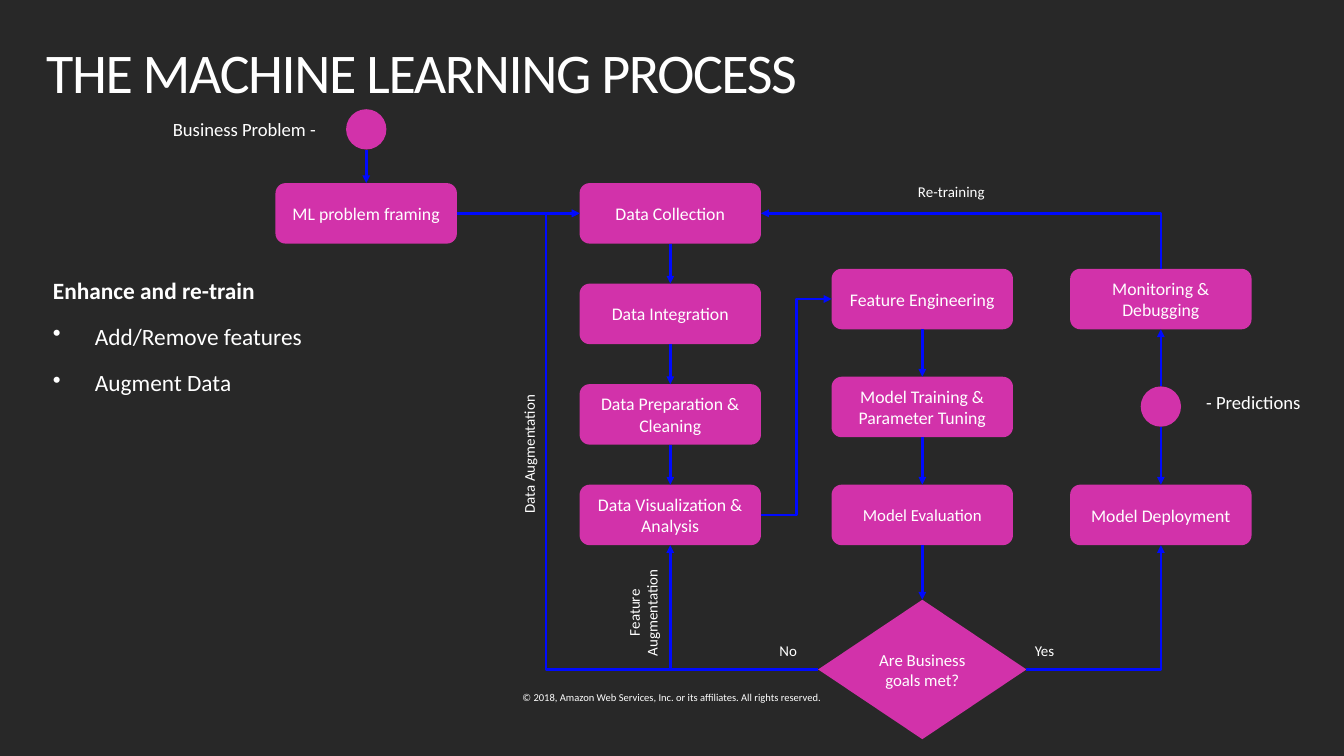
"""Build the machine learning process flowchart slide."""
from dataclasses import dataclass
from typing import Any, NamedTuple

from lxml import etree
from pptx import Presentation
from pptx import util as u
from pptx.dml.color import RGBColor
from pptx.enum import shapes, text
from pptx.oxml.ns import qn


@dataclass(frozen=True)
class Theme:
    """Colours, font and type sizes of the slide."""
    back: RGBColor = RGBColor(0x28, 0x28, 0x28)
    node: RGBColor = RGBColor(0xD2, 0x32, 0xAA)
    arrow: RGBColor = RGBColor(0x00, 0x0A, 0xFF)
    ink: RGBColor = RGBColor(0xFF, 0xFF, 0xFF)
    font: str = "Calibri"
    title: float = 48
    body: float = 20
    caption: float = 16
    step: float = 15.2
    small_step: float = 14.4
    label: float = 12.8
    footer: float = 9
    arrow_width: float = 2.25


class Node(NamedTuple):
    """A flowchart node given by its centre line, top and size."""
    key: str
    text: str
    cx: float
    top: float
    width: float = 2.16
    height: float = 0.72
    kind: Any = shapes.MSO_SHAPE.ROUNDED_RECTANGLE
    size: float = Theme.step


class Link(NamedTuple):
    """An arrow between the sides of two nodes."""
    begin: str
    begin_side: int
    end: str
    end_side: int
    preset: str = "line"
    bend: int = 0
    vertical_first: bool = False


class Label(NamedTuple):
    """A free text label."""
    text: str
    left: float
    top: float
    width: float
    height: float
    size: float = Theme.label
    align: Any = text.PP_ALIGN.LEFT
    rotation: float = 0
    wrap: bool = False
    inset: tuple[float, float] = (0.1, 0.05)


T = Theme()
TOP, LEFT, BOTTOM, RIGHT = range(4)
CENTER = text.PP_ALIGN.CENTER
CIRCLE = shapes.MSO_SHAPE.OVAL
FRAMING_X, DATA_X, MODEL_X, DEPLOY_X = 4.36, 7.98, 10.98, 13.82
FIRST_ROW, MODEL_ROW, LAST_ROW = 2.18, 3.2, 5.77


def stack(cx: float, top: float, steps: list[tuple[str, str, float]]) -> list[Node]:
    """Space steps evenly from the given top down to the last row."""
    pitch = (LAST_ROW - top) / (len(steps) - 1)
    return [Node(key, words, cx, top + i * pitch, size=size)
            for i, (key, words, size) in enumerate(steps)]


NODES = [
    Node("problem", "", FRAMING_X, 1.3, 0.48, 0.48, CIRCLE),
    Node("framing", "ML problem framing", FRAMING_X, FIRST_ROW),
    *stack(DATA_X, FIRST_ROW, [
        ("collect", "Data Collection", T.step),
        ("integrate", "Data Integration", T.step),
        ("prepare", "Data Preparation & Cleaning", T.step),
        ("visualize", "Data Visualization & Analysis", T.step)]),
    *stack(MODEL_X, MODEL_ROW, [
        ("features", "Feature Engineering", T.step),
        ("train", "Model Training &\nParameter Tuning", T.step),
        ("evaluate", "Model Evaluation", T.small_step)]),
    *stack(DEPLOY_X, MODEL_ROW, [
        ("monitor", "Monitoring &\nDebugging", T.step),
        ("deploy", "Model Deployment", T.step)]),
    Node("goals", "Are Business goals met?", MODEL_X, 7.14, 2.48, 1.66,
         shapes.MSO_SHAPE.DIAMOND, T.small_step),
    Node("predict", "", DEPLOY_X, 4.6, 0.48, 0.48, CIRCLE),
]

CHAINS = [("problem", "framing"),
          ("collect", "integrate", "prepare", "visualize"),
          ("features", "train", "evaluate", "goals"),
          ("predict", "deploy")]

LINKS = [Link(a, BOTTOM, b, TOP) for chain in CHAINS for a, b in zip(chain, chain[1:])] + [
    Link("framing", RIGHT, "collect", LEFT),
    Link("predict", TOP, "monitor", BOTTOM),
    Link("visualize", RIGHT, "features", LEFT, "bentConnector3", 50000),
    Link("goals", RIGHT, "deploy", BOTTOM, "bentConnector2"),
    Link("goals", LEFT, "visualize", BOTTOM, "bentConnector2"),
    Link("goals", LEFT, "collect", LEFT, "bentConnector3", 114100),
    Link("monitor", TOP, "collect", RIGHT, "bentConnector2", vertical_first=True),
]

LABELS = [
    Label("© 2018, Amazon Web Services, Inc. or its affiliates. All rights reserved.",
          5.83, 8.23, 4.33, 0.15, T.footer, CENTER, wrap=True, inset=(0, 0)),
    Label("Business Problem -", 1.96, 1.36, 2.14, 0.37, T.caption),
    Label("- Predictions", 14.1, 4.6, 1.48, 0.37, T.caption, text.PP_ALIGN.RIGHT),
    Label("Yes", 12.22, 7.59, 0.48, 0.32),
    Label("No", 9.18, 7.59, 0.43, 0.32),
    Label("Re-training", 10.83, 2.13, 1.11, 0.32),
    Label("Data Augmentation", 5.4, 5.15, 1.8, 0.32, rotation=270),
    Label("Feature\nAugmentation", 6.97, 7.03, 1.37, 0.53, align=CENTER, rotation=270),
]
TITLE = Label("THE MACHINE LEARNING PROCESS", 0.35, 0.38, 15.3, 1.18, T.title,
              wrap=True, inset=(0.2, 0.16))
ADVICE = Label("Enhance and re-train\nAdd/Remove features\nAugment Data",
               0.43, 3.16, 5.47, 4.75, T.body, wrap=True, inset=(0.2, 0.16))


def apply(target: Any, values: dict[str, Any]) -> None:
    """Set each named attribute on the target."""
    for name, value in values.items():
        setattr(target, name, value)


def write(tf: Any, words: str, size: float, align: Any) -> None:
    """Fill a text frame with one paragraph per line."""
    tf.text = words
    for p in tf.paragraphs:
        p.alignment = align
        for r in p.runs:
            apply(r.font, {"name": T.font, "size": u.Pt(size)})
            r.font.color.rgb = T.ink


def draw_label(s: Any, label: Label) -> Any:
    """Draw a label and return its text frame."""
    sp = s.shapes.add_textbox(*map(u.Inches, label[1:5]))
    sp.rotation = label.rotation
    tf, (x, y) = sp.text_frame, map(u.Inches, label.inset)
    apply(tf, {"word_wrap": label.wrap, "margin_left": x, "margin_right": x,
               "margin_top": y, "margin_bottom": y})
    write(tf, label.text, label.size, label.align)
    return tf


def draw_node(s: Any, node: Node) -> Any:
    """Draw a flowchart node."""
    sp = s.shapes.add_shape(node.kind, *map(u.Inches, (
        node.cx - node.width / 2, node.top, node.width, node.height)))
    sp.shadow.inherit = False
    sp.fill.solid()
    sp.fill.fore_color.rgb = T.node
    sp.line.fill.background()
    if node.text:
        tf = sp.text_frame
        apply(tf, {"word_wrap": True, "vertical_anchor": text.MSO_ANCHOR.MIDDLE})
        write(tf, node.text, node.size, CENTER)
    return sp


def side_point(sp: Any, side: int) -> tuple[int, int]:
    """Return the middle of one side of a shape."""
    fx, fy = ((0.5, 0), (0, 0.5), (0.5, 1), (1, 0.5))[side]
    return int(sp.left + fx * sp.width), int(sp.top + fy * sp.height)


def draw_link(s: Any, link: Link, drawn: dict[str, Any]) -> None:
    """Draw an arrow between two nodes."""
    a, b = drawn[link.begin], drawn[link.end]
    (x1, y1), (x2, y2) = side_point(a, link.begin_side), side_point(b, link.end_side)
    if link.vertical_first:
        cx, cy, dx, dy = (x1 + x2) // 2, (y1 + y2) // 2, abs(x2 - x1) // 2, abs(y2 - y1) // 2
        x1, y1, x2, y2 = cx - dy, cy + dx, cx + dy, cy - dx
    kind = shapes.MSO_CONNECTOR
    c = s.shapes.add_connector(kind.STRAIGHT if link.preset == "line" else kind.ELBOW,
                               x1, y1, x2, y2)
    props = c._element.spPr
    geometry = props.find(qn("a:prstGeom"))
    geometry.set("prst", link.preset)
    if link.bend:
        etree.SubElement(geometry.find(qn("a:avLst")), qn("a:gd"),
                         name="adj1", fmla=f"val {link.bend}")
    if link.vertical_first:
        props.find(qn("a:xfrm")).set("rot", str(270 * 60000))
    else:
        if a.auto_shape_type != CIRCLE:
            c.begin_connect(a, link.begin_side)
        c.end_connect(b, link.end_side)
    c.line.color.rgb = T.arrow
    c.line.width = u.Pt(T.arrow_width)
    etree.SubElement(props.find(qn("a:ln")), qn("a:tailEnd"), type="triangle")
    etree.SubElement(props, qn("a:effectLst"))


def draw_text_blocks(s: Any) -> None:
    """Draw the title and the bulleted advice."""
    p = draw_label(s, TITLE).paragraphs[0]
    p.line_spacing = 0.9
    p.runs[0].font._element.set("spc", "-120")
    heading, *points = draw_label(s, ADVICE).paragraphs
    for p in points:
        pr = p._p.get_or_add_pPr()
        apply_indent = {"marL": u.Inches(0.5), "indent": -u.Inches(0.5)}
        for name, value in apply_indent.items():
            pr.set(name, str(int(value)))
        etree.SubElement(pr, qn("a:buChar"), char="•")
    for p in (heading, *points):
        apply(p, {"line_spacing": 0.9, "space_after": u.Pt(18)})
    heading.runs[0].font.bold = True


def main() -> None:
    """Build and save the slide."""
    prs = Presentation()
    apply(prs, {"slide_width": u.Inches(16), "slide_height": u.Inches(9)})
    s = prs.slides.add_slide(prs.slide_layouts[6])
    s.background.fill.solid()
    s.background.fill.fore_color.rgb = T.back
    draw_text_blocks(s)
    drawn = {node.key: draw_node(s, node) for node in NODES}
    for link in LINKS:
        draw_link(s, link, drawn)
    for label in LABELS:
        draw_label(s, label)
    prs.save("out.pptx")


if __name__ == "__main__":
    main()
